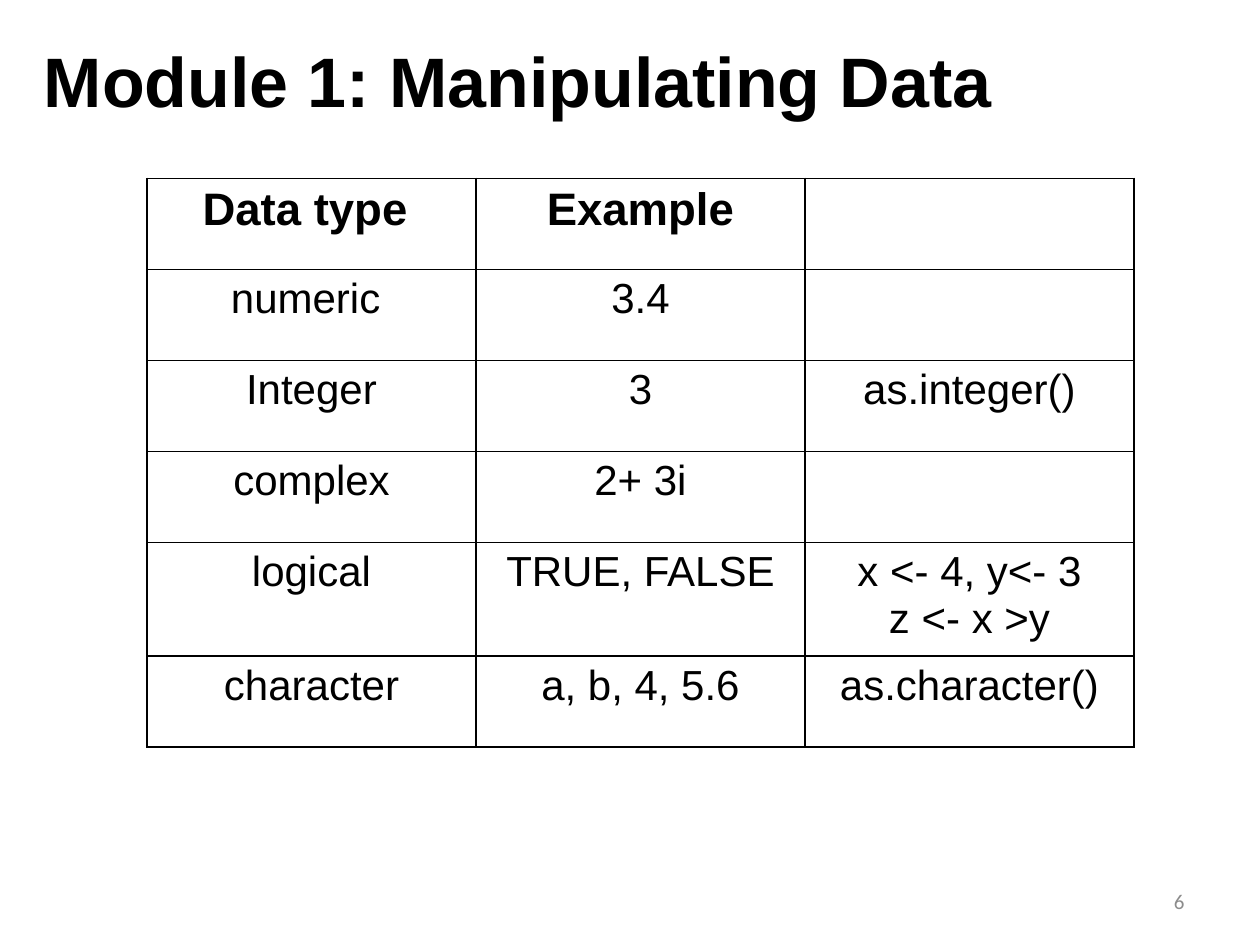
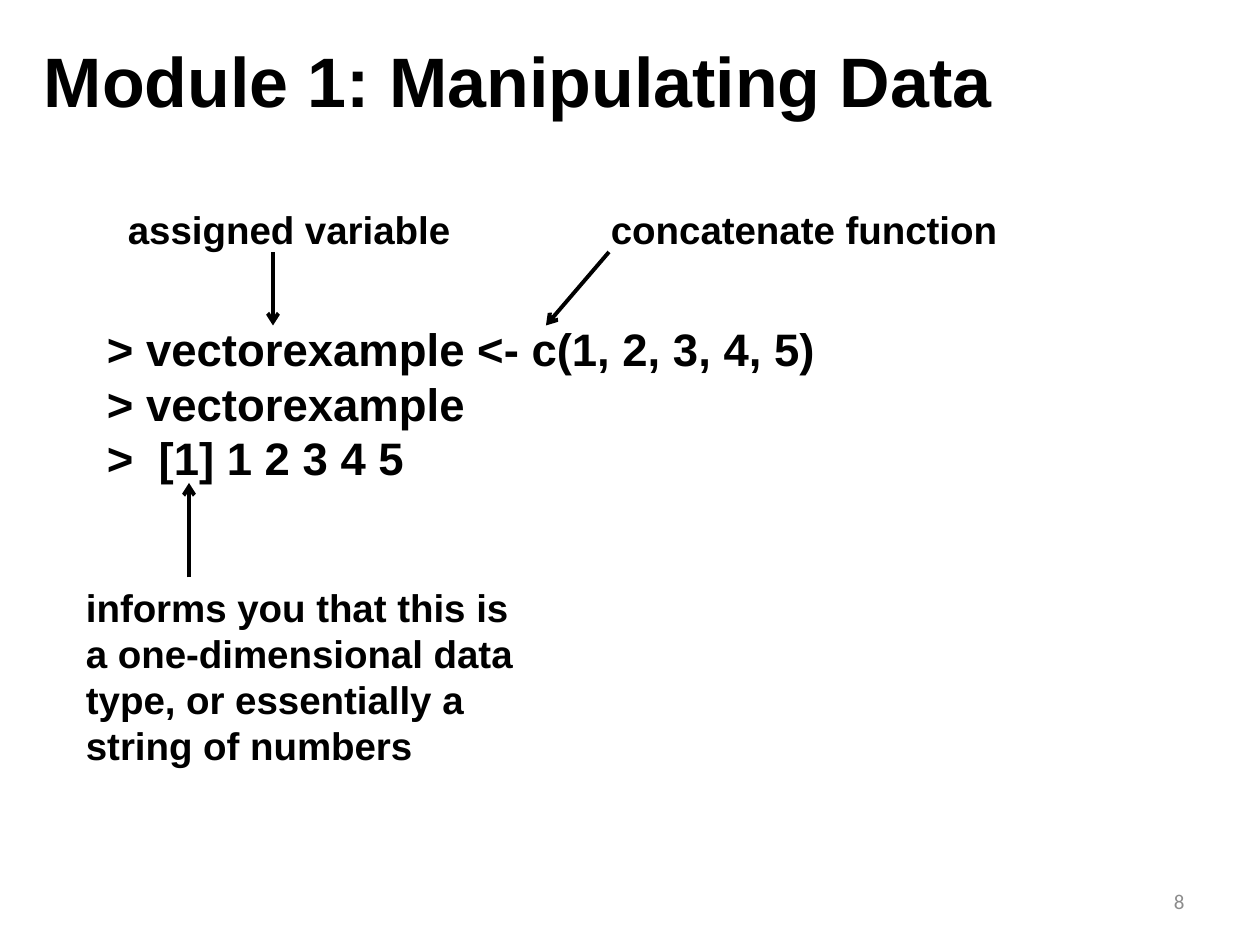
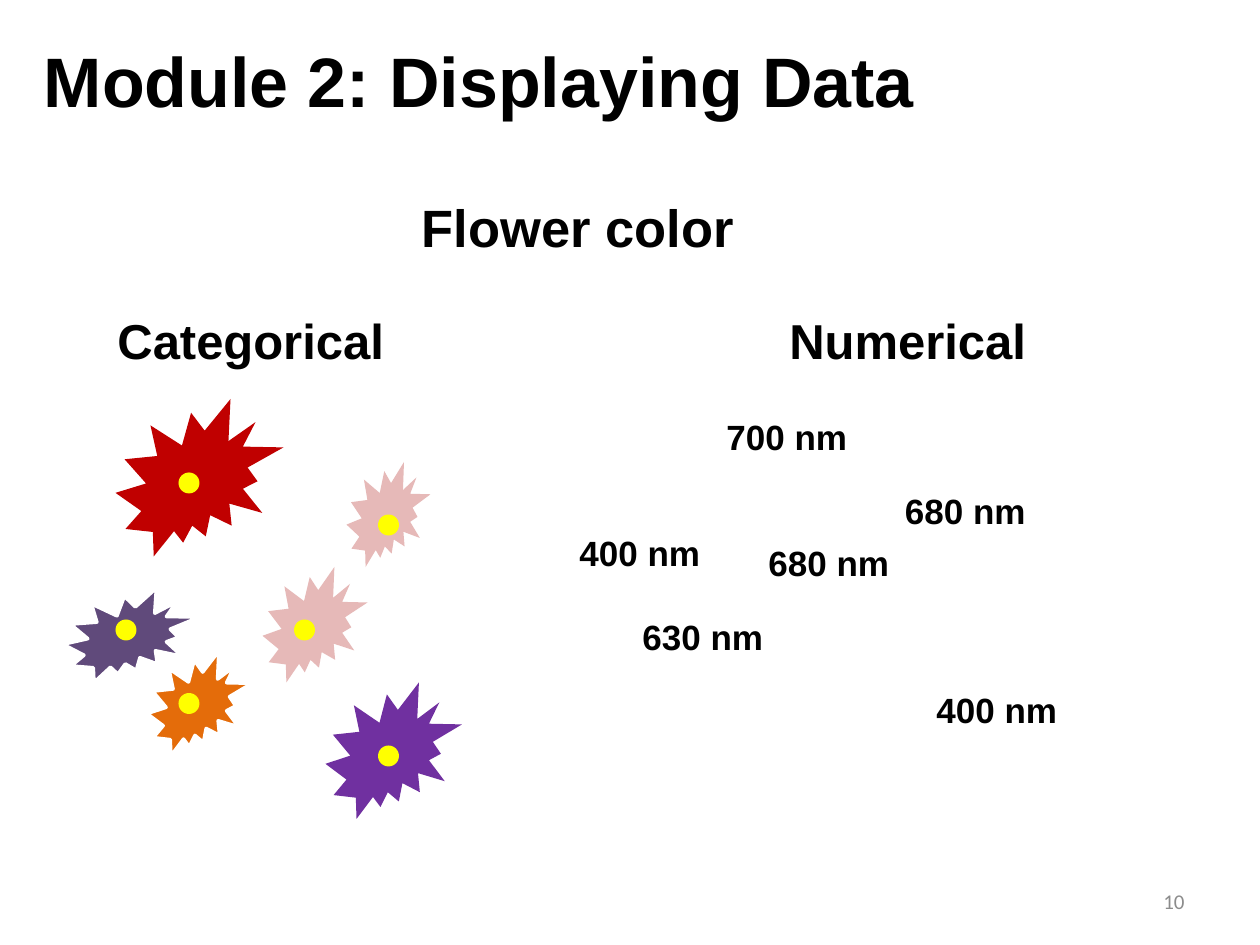
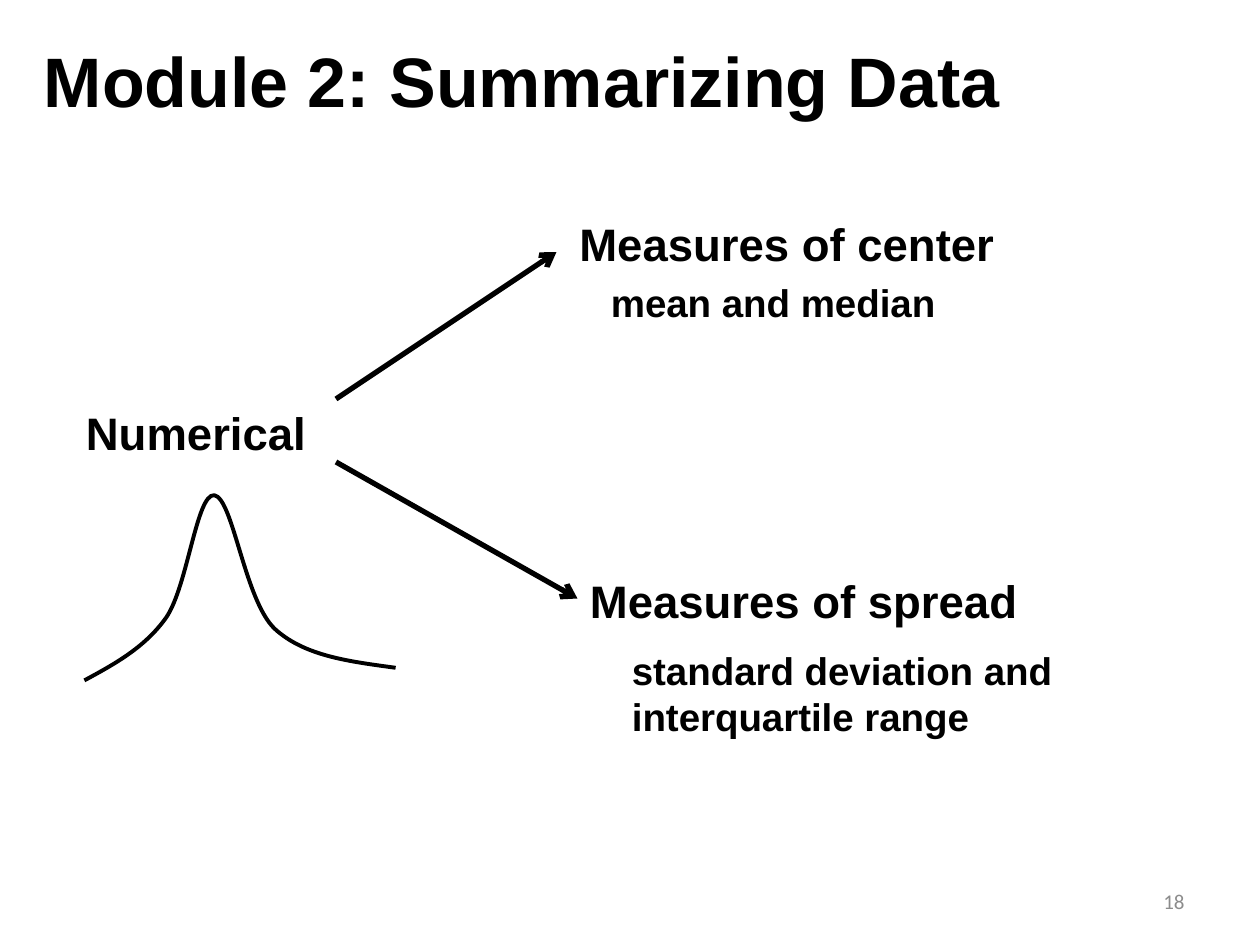
from pptx import Presentation
from pptx import util as u
from pptx.dml.color import RGBColor
from pptx.enum import shapes, text
from pptx.oxml import parse_xml
from pptx.oxml.ns import nsdecls, qn

COLUMNS, ROWS = 120, 90
CELL = u.Inches(10) // COLUMNS
COLORS = {
    "ink": "000000", "number": "8C8C8C", "white": "FFFFFF",
    "disc": "FFFF00", "red": "C00000", "pink": "E6B9B8",
    "orange": "E46C0A", "purple": "7030A0", "plum": "604A7B",
}
BODY = {"name": "Arial", "bold": True}
NUMBER = {"name": "Calibri", "bold": False}


def grid(*cells):
    """Turn grid columns or rows into lengths."""
    return [u.Emu(round(c * CELL)) for c in cells]


def rgb(name):
    return RGBColor.from_string(COLORS[name])


def style(p, size, color="ink", align=None, **font):
    p.alignment = align
    for key, value in {**font, "size": u.Pt(size)}.items():
        setattr(p.font, key, value)
    p.font.color.rgb = rgb(color)


def fill_text(tf, content, size, **look):
    """Write one paragraph for each line of content."""
    for i, line in enumerate(content.split("\n")):
        p = tf.paragraphs[0] if i == 0 else tf.add_paragraph()
        p.add_run().text = line
        style(p, size, **look)


def add_text(s, content, x, y, width, size, lines=1):
    """Add a bold text box as high as its lines need."""
    height = u.Pt(lines * size * 1.2 + 7.2)
    tf = s.shapes.add_textbox(*grid(x, y, width), height).text_frame
    tf.word_wrap = True
    tf.auto_size = text.MSO_AUTO_SIZE.SHAPE_TO_FIT_TEXT
    fill_text(tf, content, size, **BODY)


def add_slide(prs, title, number):
    s = prs.slides.add_slide(prs.slide_layouts[6])
    tf = s.shapes.add_textbox(*grid(86, 83.4, 28, 4.8)).text_frame
    tf.word_wrap = True
    tf.vertical_anchor = text.MSO_ANCHOR.MIDDLE
    fill_text(tf, str(number), 12, color="number",
              align=text.PP_ALIGN.RIGHT, **NUMBER)
    add_text(s, title, 3, 3, 109, 40)
    return s


def add_arrow(s, start, end, width):
    sp = s.shapes.add_connector(shapes.MSO_CONNECTOR.STRAIGHT,
                                *grid(*start, *end))
    sp.line.width = u.Pt(width)
    sp.line.color.rgb = rgb("ink")
    sp.line._get_or_add_ln().append(
        parse_xml(f'<a:tailEnd {nsdecls("a")} type="arrow"/>'))
    sp._element.spPr.append(parse_xml(f'<a:effectLst {nsdecls("a")}/>'))


def add_filled(s, kind, color, box, outline=None):
    sp = s.shapes.add_shape(kind, *grid(*box))
    sp.shadow.inherit = False
    sp.fill.solid()
    sp.fill.fore_color.rgb = rgb(color)
    if outline:
        sp.line.color.rgb = rgb(outline)
        sp.line.width = u.Pt(2)
    else:
        sp.line.fill.background()


def add_flower(s, color, petals, disc, outline=None):
    kinds = shapes.MSO_SHAPE
    add_filled(s, kinds.EXPLOSION2, color, petals, outline)
    add_filled(s, kinds.OVAL, "disc", (*disc, 2, 2))


def add_curve(s, points, width):
    """Draw cubic curves: a start, then two handles and an end for each."""
    start, *rest = [tuple(u.Inches(n) for n in point) for point in points]
    builder = s.shapes.build_freeform(*start)
    builder.add_line_segments(rest, close=False)
    sp = builder.convert_to_shape()
    sp.shadow.inherit = False
    sp.fill.background()
    sp.line.color.rgb = rgb("ink")
    sp.line.width = u.Pt(width)
    segments = list(sp._element.iter(qn("a:lnTo")))
    for i in range(0, len(segments), 3):
        curve = parse_xml(f'<a:cubicBezTo {nsdecls("a")}/>')
        segments[i].addprevious(curve)
        for segment in segments[i:i + 3]:
            curve.append(segment[0])
            segment.getparent().remove(segment)


def border_cell(cell):
    tcPr = cell._tc.get_or_add_tcPr()
    for side in ("lnL", "lnR", "lnT", "lnB"):
        tcPr.append(parse_xml(
            f'<a:{side} {nsdecls("a")} w="12700"><a:solidFill>'
            f'<a:srgbClr val="{COLORS["ink"]}"/></a:solidFill></a:{side}>'))


def add_grid_table(s, rows, x, y, width, height):
    table = s.shapes.add_table(len(rows), len(rows[0]),
                               *grid(x, y, width, height)).table
    table.first_row = table.horz_banding = False
    for i, row in enumerate(rows):
        for j, content in enumerate(row):
            cell = table.cell(i, j)
            border_cell(cell)
            cell.fill.background()
            if content:
                fill_text(cell.text_frame, content, 24 if i else 26,
                          align=text.PP_ALIGN.CENTER, name="Arial",
                          bold=i == 0)


def data_types(prs):
    s = add_slide(prs, "Module 1: Manipulating Data", 6)
    add_grid_table(s, [
        ("Data type ", "Example", ""),
        ("numeric ", "3.4", ""),
        ("Integer", "3", "as.integer()"),
        ("complex", "2+ 3i", ""),
        ("logical", "TRUE, FALSE", "x <- 4, y<- 3\nz <- x >y"),
        ("character", "a, b, 4, 5.6", "as.character()"),
    ], 14, 17, 94, 52)


def vector_example(prs):
    s = add_slide(prs, "Module 1: Manipulating Data", 8)
    add_text(s, "> vectorexample <- c(1, 2, 3, 4, 5)\n"
                "> vectorexample\n"
                ">  [1] 1 2 3 4 5", 9, 30, 105, 26, lines=3)
    add_text(s, "concatenate function", 57, 19, 45, 22)
    add_text(s, "assigned variable", 11, 19, 45, 22)
    add_text(s, "informs you that this is a one-dimensional data type, "
                "or essentially a string of numbers", 7, 55, 45, 22, lines=4)
    for start, end in [((58, 24), (52, 31)), ((26, 24), (26, 31)),
                       ((18, 55), (18, 46))]:
        add_arrow(s, start, end, 2.25)


def flower_color(prs):
    s = add_slide(prs, "Module 2: Displaying Data", 10)
    add_text(s, "Categorical", 10, 29, 46, 28)
    add_text(s, "Numerical", 74, 29, 46, 28)
    add_text(s, "Flower color", 39, 18, 46, 30)
    for flower in [
        ("red", (11, 38, 16, 15), (17, 45)),
        ("pink", (33, 44, 8, 10), (36, 49)),
        ("orange", (14, 62, 10, 10), (17, 66), "white"),
        ("purple", (31, 65, 13, 13), (36, 71)),
        ("pink", (25, 54, 10, 11), (28, 59)),
        ("plum", (6, 56, 13, 9), (11, 59), "white"),
    ]:
        add_flower(s, *flower)
    for wavelength, x, y in [(700, 68, 39), (680, 85, 46), (680, 72, 51),
                             (400, 54, 50), (630, 60, 58), (400, 88, 65)]:
        add_text(s, f"{wavelength} nm", x, y, 20, 20)


def numerical_measures(prs):
    s = add_slide(prs, "Module 2: Summarizing Data", 18)
    for heading, x, y in [("Numerical", 7, 38), ("Measures of center", 54, 20),
                          ("Measures of spread", 55, 54)]:
        add_text(s, heading, x, y, 103, 26)
    add_text(s, "mean and median", 57, 26, 51, 22)
    add_text(s, "standard deviation and interquartile range",
             59, 61, 51, 22, lines=2)
    add_arrow(s, (32, 38), (53, 24), 3)
    add_arrow(s, (32, 44), (55, 57), 3)
    add_curve(s, [
        (0.67, 5.4),
        (0.91, 5.27), (1.15, 5.14), (1.32, 4.9),
        (1.49, 4.65), (1.56, 3.92), (1.7, 3.93),
        (1.85, 3.95), (1.94, 4.76), (2.18, 4.99),
        (2.42, 5.21), (2.78, 5.25), (3.14, 5.3),
    ], 2.25)


def main():
    prs = Presentation()
    prs.slide_width, prs.slide_height = grid(COLUMNS, ROWS)
    for build in (data_types, vector_example, flower_color,
                  numerical_measures):
        build(prs)
    prs.save("out.pptx")


if __name__ == "__main__":
    main()
